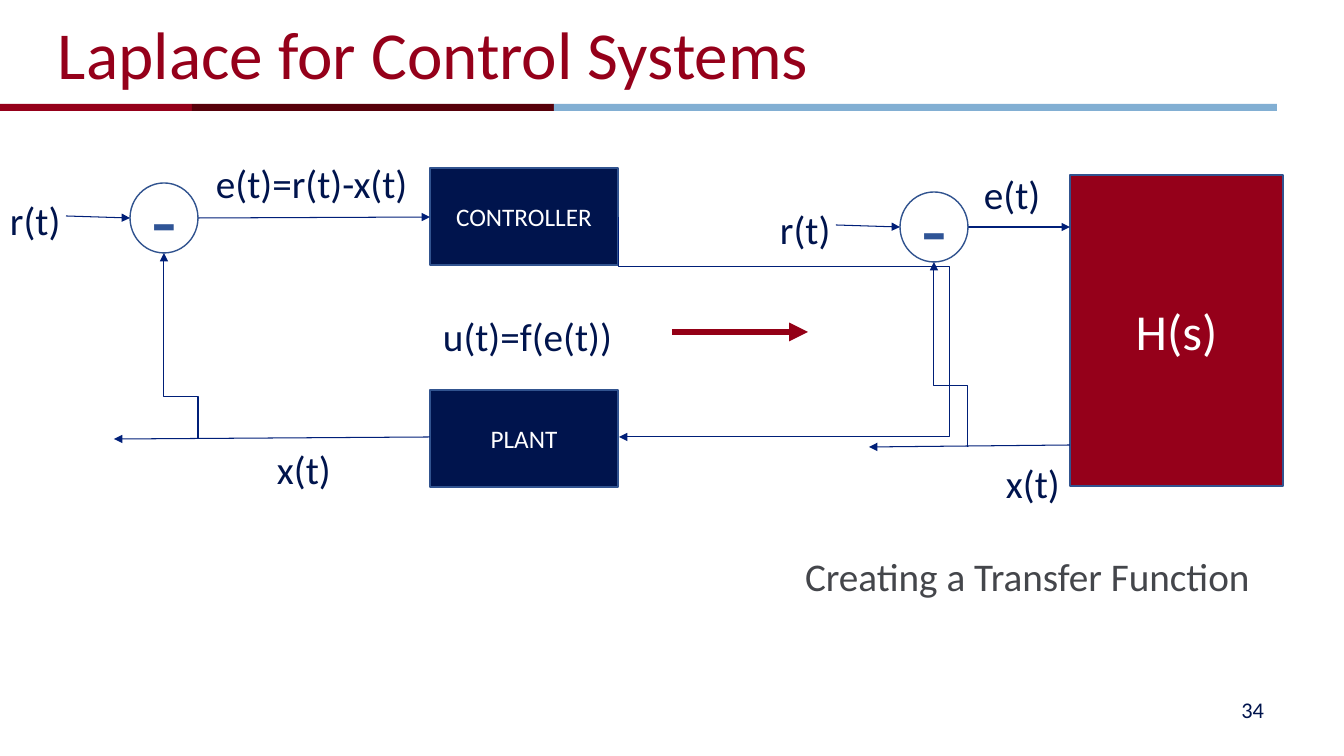
from lxml import etree
from pptx import Presentation
from pptx.dml.color import RGBColor
from pptx.enum.shapes import MSO_CONNECTOR, MSO_SHAPE
from pptx.enum.text import MSO_ANCHOR, PP_ALIGN
from pptx.oxml.ns import qn
from pptx.util import Emu, Pt

STRAIGHT, ELBOW = MSO_CONNECTOR.STRAIGHT, MSO_CONNECTOR.ELBOW
RECTANGLE, OVAL = MSO_SHAPE.RECTANGLE, MSO_SHAPE.OVAL
TOP, MIDDLE = MSO_ANCHOR.TOP, MSO_ANCHOR.MIDDLE
LEFT, CENTER, RIGHT = PP_ALIGN.LEFT, PP_ALIGN.CENTER, PP_ALIGN.RIGHT

FONT = "Calibri"
EMU_PER_PX = 914400 / 100.8
CRIMSON = RGBColor(0x95, 0x00, 0x1A)
MAROON = RGBColor(0x57, 0x00, 0x0A)
SKY = RGBColor(0x82, 0xAF, 0xD3)
NAVY = RGBColor(0x00, 0x14, 0x4D)
WIRE = RGBColor(0x00, 0x1F, 0x78)
OUTLINE = RGBColor(0x31, 0x53, 0x8F)
MINUS = RGBColor(0x2F, 0x54, 0x96)
ARROW_RED = RGBColor(0x94, 0x00, 0x16)
GREY = RGBColor(0x44, 0x46, 0x4B)
WHITE = RGBColor(0xFF, 0xFF, 0xFF)

# Boxes are (left, top, width, height) in px
BANDS = [((-1, 104, 193, 7), CRIMSON), ((192, 104, 362, 7), MAROON),
         ((554, 104, 723, 7), SKY)]
TITLE = ("Laplace for Control Systems", (45, 2, 1210, 102))
PAGE_NUMBER = ("34", (964, 690, 313, 40))
CAPTION = ("Creating a Transfer Function", (787, 542, 530, 78))
BLOCKS = [
    ("CONTROLLER", (430, 168, 188, 97), NAVY, 18),
    ("PLANT", (430, 390, 188, 97), NAVY, 18),
    ("H(s)", (1070, 175, 213, 311), CRIMSON, 36),
]
SIGNALS = [
    ("e(t)=r(t)-x(t)", (206, 154, 214, 57)),
    ("u(t)=f(e(t))", (433, 307, 192, 57)),
    ("x(t)", (267, 440, 75, 57)),
    ("e(t)", (974, 165, 78, 57)),
    ("x(t)", (996, 454, 75, 57)),
]
# Start and end of each straight wire
WIRES = [((198, 218), (430, 217)), ((430, 437), (114, 439)),
         ((968, 227), (1070, 227)), ((1070, 445), (869, 447))]
# Left and top of each summing circle, and the height where its feedback turns
SUMMING_POINTS = [(130, 183, 396), (900, 192, 386)]
CIRCLE_WIDTH, CIRCLE_HEIGHT, FEEDBACK_DROP = 68, 70, 185
CONTROL_PATH = {"start": (618, 217), "end": (619, 437), "turn_y": 267, "reach_x": 952}
TRANSFORM_ARROW = ((672, 332), (808, 332))


def px(length):
    return Emu(round(length * EMU_PER_PX))


def write(shape, text, size, color, align=LEFT, anchor=TOP, insets=(10, 5), wrap=True):
    frame = shape.text_frame
    frame.text = text
    frame.word_wrap = wrap
    frame.vertical_anchor = anchor
    frame.margin_left = frame.margin_right = px(insets[0])
    frame.margin_top = frame.margin_bottom = px(insets[1])
    paragraph = frame.paragraphs[0]
    paragraph.alignment = align
    font = paragraph.runs[0].font
    font.name, font.size, font.color.rgb = FONT, Pt(size), color


def add_text(slide, text, box, size, color, **layout):
    write(slide.shapes.add_textbox(*map(px, box)), text, size, color, **layout)


def add_figure(slide, kind, box, fill=None, outline=None):
    shape = slide.shapes.add_shape(kind, *map(px, box))
    shape.shadow.inherit = False
    if fill is None:
        shape.fill.background()
    else:
        shape.fill.solid()
        shape.fill.fore_color.rgb = fill
    if outline is None:
        shape.line.fill.background()
    else:
        shape.line.color.rgb = outline
        shape.line.width = Pt(1)
    return shape


def add_arrow(slide, start, end, color=WIRE, width=0.75, kind=STRAIGHT):
    connector = slide.shapes.add_connector(kind, *map(px, (*start, *end)))
    connector.line.color.rgb = color
    connector.line.width = Pt(width)
    etree.SubElement(connector.line._ln, qn("a:tailEnd"), type="triangle")
    etree.SubElement(connector._element.spPr, qn("a:effectLst"))
    return connector


def add_elbow(slide, start, end, turn_y, reach_x=None):
    """Arrow that leaves vertically, turns at turn_y and may detour to reach_x."""
    (start_x, start_y), (end_x, end_y) = start, end
    length, offset = abs(end_y - start_y), abs(end_x - start_x)
    left = (start_x + end_x - length) / 2
    top = (start_y + end_y - offset) / 2
    connector = add_arrow(slide, (left, top), (left + length, top + offset), kind=ELBOW)
    properties = connector._element.spPr
    transform = properties.find(qn("a:xfrm"))
    transform.set("rot", str((90 if end_y < start_y else 270) * 60000))
    transform.set("flipH", "1")
    adjustments = [(turn_y - start_y) / (end_y - start_y)]
    geometry = properties.find(qn("a:prstGeom"))
    if reach_x is not None:
        adjustments.append((reach_x - start_x) / (end_x - start_x))
        geometry.set("prst", "bentConnector4")
    guides = geometry.find(qn("a:avLst"))
    for number, value in enumerate(adjustments, 1):
        etree.SubElement(guides, qn("a:gd"), name=f"adj{number}",
                         fmla=f"val {round(value * 100000)}")


def add_summing_point(slide, left, top, turn_y):
    """Circle with its reference input and feedback arrow."""
    add_text(slide, "r(t)", (left - 130, top + 8, 72, 57), 28, NAVY, wrap=False)
    circle = add_figure(slide, OVAL, (left, top, CIRCLE_WIDTH, CIRCLE_HEIGHT),
                        outline=OUTLINE)
    write(circle, "-", 60, MINUS, align=CENTER, anchor=MIDDLE)
    add_arrow(slide, (left - 64, top + 33), (left, top + 35))
    bottom = top + CIRCLE_HEIGHT
    add_elbow(slide, (left + CIRCLE_WIDTH, bottom + FEEDBACK_DROP),
              (left + CIRCLE_WIDTH // 2, bottom), turn_y)


def main():
    presentation = Presentation()
    presentation.slide_width, presentation.slide_height = px(1344), px(756)
    slide = presentation.slides.add_slide(presentation.slide_layouts[6])

    for box, color in BANDS:
        add_figure(slide, RECTANGLE, box, color)
    add_text(slide, *PAGE_NUMBER, 16, NAVY, align=RIGHT, anchor=MIDDLE, insets=(13, 7))
    add_text(slide, *TITLE, 48, CRIMSON, anchor=MIDDLE, insets=(13, 7))

    for text, box, color, size in BLOCKS:
        block = add_figure(slide, RECTANGLE, box, color, OUTLINE)
        write(block, text, size, WHITE, align=CENTER, anchor=MIDDLE)
    for text, box in SIGNALS:
        add_text(slide, text, box, 28, NAVY, wrap=False)
    for start, end in WIRES:
        add_arrow(slide, start, end)
    add_elbow(slide, **CONTROL_PATH)
    for left, top, turn_y in SUMMING_POINTS:
        add_summing_point(slide, left, top, turn_y)

    add_text(slide, *CAPTION, 28, GREY, insets=(18, 10))
    add_arrow(slide, *TRANSFORM_ARROW, ARROW_RED, 4.5)
    presentation.save("out.pptx")


if __name__ == "__main__":
    main()
